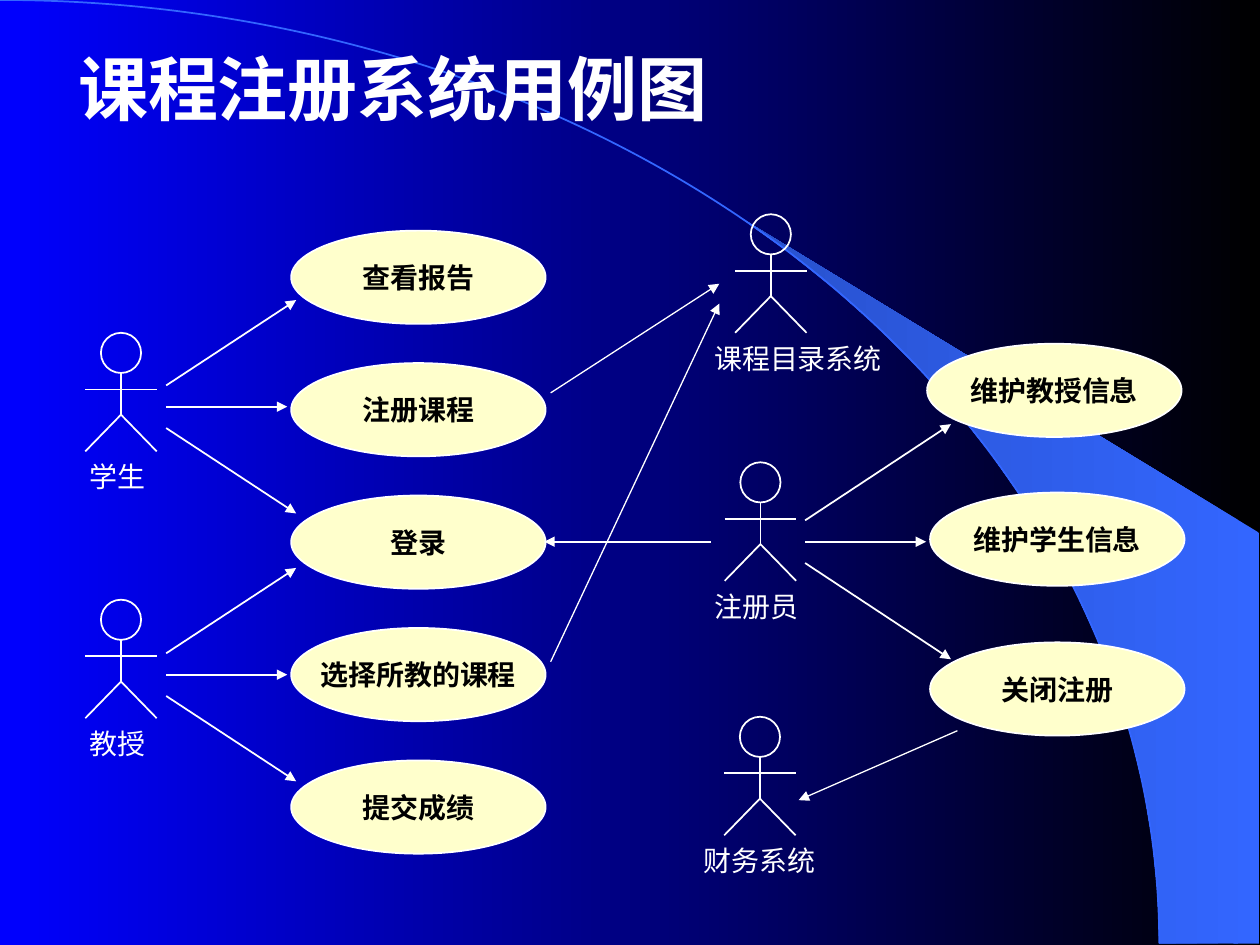
import math
from dataclasses import dataclass

from lxml import etree
from pptx import Presentation
from pptx import util as u
from pptx.dml.color import RGBColor
from pptx.enum import shapes, text
from pptx.oxml import ns

Cm = u.Cm


@dataclass(frozen=True)
class Theme:
    night: RGBColor = RGBColor(0x00, 0x00, 0x00)
    blue: RGBColor = RGBColor(0x00, 0x00, 0xFF)
    sky: RGBColor = RGBColor(0x33, 0x66, 0xFF)
    dusk: RGBColor = RGBColor(0x28, 0x51, 0xCC)
    cream: RGBColor = RGBColor(0xFF, 0xFF, 0xCC)
    white: RGBColor = RGBColor(0xFF, 0xFF, 0xFF)
    font: str = "Arial"
    title_size: u.Pt = u.Pt(40)
    body_size: u.Pt = u.Pt(16)
    line: u.Pt = u.Pt(1)
    thin_line: u.Pt = u.Pt(0.75)


theme = Theme()


def draw_line(container, start, end, width=theme.line, arrow=False):
    """Draw a white line between two (x, y) points in centimetres."""
    line = container.add_connector(
        shapes.MSO_CONNECTOR.STRAIGHT, *[Cm(v) for v in (*start, *end)])
    line.line.color.rgb = theme.white
    line.line.width = width
    properties = line.element.spPr
    if arrow:
        etree.SubElement(properties.find(ns.qn("a:ln")), ns.qn("a:tailEnd"), type="triangle")
    etree.SubElement(properties, ns.qn("a:effectLst"))


def write(frame, words, size, color, align, bold=False):
    frame.word_wrap = False
    paragraph = frame.paragraphs[0]
    paragraph.alignment = align
    run = paragraph.add_run()
    run.text = words
    run.font.name = theme.font
    run.font.size = size
    run.font.bold = bold
    run.font.color.rgb = color


prs = Presentation()
prs.slide_width, prs.slide_height = Cm(25.4), Cm(19.05)
layout = prs.slide_layouts[5]
slide = prs.slides.add_slide(layout)
canvas = slide.shapes

# Backdrop: a quarter ellipse and the band between it and the right edge
radius_x, radius_y = 23.37, 19.02
rim = []
for step in range(17):
    angle = math.radians(39.8 + step * (90 - 39.8) / 16)
    rim.append((Cm(radius_x * math.sin(angle)), Cm(radius_y * (1 - math.cos(angle)))))
outline = canvas.build_freeform(*rim[0], scale=1.0)
outline.add_line_segments(
    rim[1:] + [(Cm(25.38), Cm(19.02)), (Cm(25.38), Cm(10.74))], close=True)
band = outline.convert_to_shape()
band.line.fill.background()

arc = canvas.add_shape(
    shapes.MSO_SHAPE.ARC, Cm(-radius_x), 0, Cm(2 * radius_x), Cm(2 * radius_y))
arc.fill.background()
arc.line.color.rgb = theme.sky
arc.line.width = theme.line

for fill, colors in ((slide.background.fill, (theme.night, theme.blue)),
                     (band.fill, (theme.sky, theme.dusk))):
    fill.gradient()
    fill.gradient_angle = 180
    for stop, color, position in zip(fill.gradient_stops, colors, (0, 1)):
        stop.color.rgb = color
        stop.position = position

# The backdrop belongs to the layout, behind the slide's content
for backdrop in (band, arc):
    backdrop.shadow.inherit = False
    layout.shapes.element.append(backdrop.element)

title = canvas.title
title.left, title.top, title.width, title.height = Cm(1.32), Cm(0.79), Cm(13.34), Cm(1.96)
title.text_frame.auto_size = text.MSO_AUTO_SIZE.NONE
title.text_frame.vertical_anchor = text.MSO_ANCHOR.MIDDLE
write(title.text_frame, "课程注册系统用例图", theme.title_size, theme.white,
      text.PP_ALIGN.LEFT, bold=True)

# Use cases: an evenly spaced left column, then the registrar's three
left_names = ("查看报告", "注册课程", "登录", "选择所教的课程", "提交成绩")
use_cases = [(name, 5.87, 4.65 + 2.67 * row) for row, name in enumerate(left_names)]
use_cases += [("维护教授信息", 18.69, 6.93), ("维护学生信息", 18.75, 9.93),
              ("关闭注册", 18.75, 12.95)]
for name, left, top in use_cases:
    use_case = canvas.add_shape(
        shapes.MSO_SHAPE.OVAL, Cm(left), Cm(top), Cm(5.13), Cm(1.88))
    use_case.shadow.inherit = False
    use_case.fill.solid()
    use_case.fill.fore_color.rgb = theme.cream
    use_case.line.color.rgb = theme.white
    use_case.line.width = theme.line
    use_case.text_frame.vertical_anchor = text.MSO_ANCHOR.MIDDLE
    write(use_case.text_frame, name, theme.body_size, theme.night,
          text.PP_ALIGN.CENTER, bold=True)

# Actors: name, centre x, top, left edge of the name
actors = [("学生", 2.44, 6.71, 1.5), ("教授", 2.44, 12.09, 1.5),
          ("注册员", 15.33, 9.32, 14.1), ("财务系统", 15.32, 14.45, 13.89),
          ("课程目录系统", 15.54, 4.32, 14.1)]
head_size, reach = 0.81, 0.72
for name, x, top, name_left in actors:
    figure = canvas.add_group_shape().shapes
    head = figure.add_shape(shapes.MSO_SHAPE.OVAL, Cm(x - head_size / 2), Cm(top),
                            Cm(head_size), Cm(head_size))
    hip = top + 1.65
    draw_line(figure, (x, top + head_size), (x, hip))
    draw_line(figure, (x - reach, top + 1.14), (x + reach, top + 1.14))
    stance = figure.build_freeform(Cm(x - reach), Cm(hip + 0.74), scale=1.0)
    stance.add_line_segments(
        [(Cm(x), Cm(hip)), (Cm(x + reach), Cm(hip + 0.74))], close=False)
    legs = stance.convert_to_shape()
    for part in (head, legs):
        part.shadow.inherit = False
        part.fill.background()
        part.line.color.rgb = theme.white
        part.line.width = theme.line

    label = canvas.add_textbox(
        Cm(name_left), Cm(top + 2.41), Cm(0.61 + 0.564 * len(name)), Cm(0.99))
    frame = label.text_frame
    frame.margin_left = frame.margin_right = Cm(0.3)
    frame.margin_top = frame.margin_bottom = Cm(0.15)
    write(frame, name, theme.body_size, theme.white, text.PP_ALIGN.LEFT)

# Three arrows fan out from student, professor and registrar
for x, y, run, rise in ((3.35, 8.2, 2.62, 2.15), (3.35, 13.6, 2.62, 2.15),
                        (16.23, 10.92, 2.94, 2.37)):
    draw_line(canvas, (x, y), (x + 2.44, y), arrow=True)
    for side in (-1, 1):
        draw_line(canvas, (x, y + side * 0.43), (x + run, y + side * rise), arrow=True)

draw_line(canvas, (14.33, 10.92), (10.97, 10.92), arrow=True)
for start, end in (((11.1, 7.92), (14.5, 5.72)), ((11.1, 13.34), (14.5, 6.12)),
                   ((19.3, 14.73), (16.1, 16.13))):
    draw_line(canvas, start, end, theme.thin_line, arrow=True)

prs.save("out.pptx")
